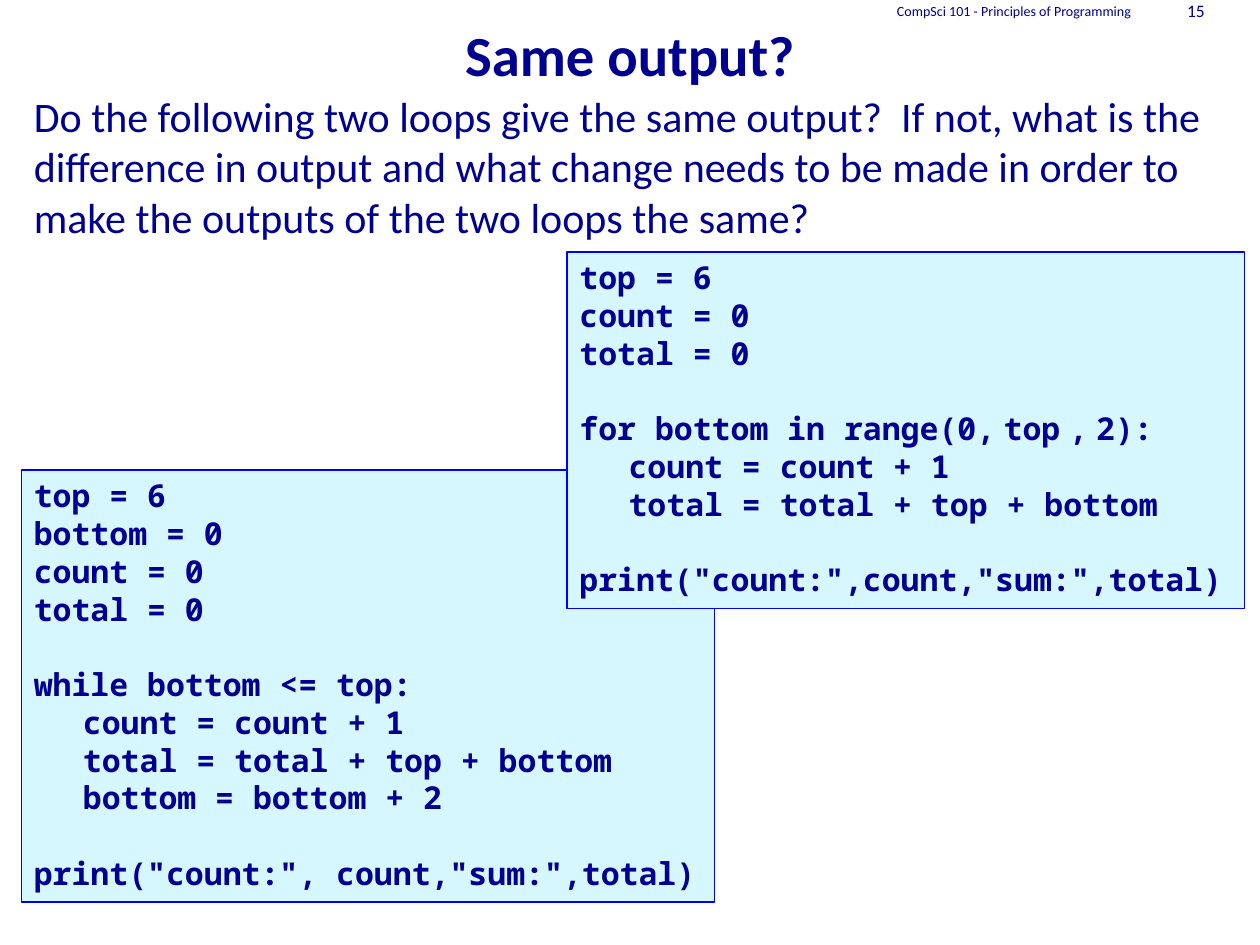
from pptx import Presentation
from pptx.dml.color import RGBColor
from pptx.enum.shapes import MSO_SHAPE
from pptx.enum.text import MSO_ANCHOR, MSO_AUTO_SIZE, PP_ALIGN
from pptx.util import Inches, Pt

NAVY, BLUE, PALE_BLUE = "000090", "0000FF", "D7F7FF"
CODE_SIZE = 18
CODE_LINE = 21.5
CODE_INDENT = Inches(0.39)


def color(hex_string):
    return RGBColor.from_string(hex_string)


def add_text(paragraph, text, size=CODE_SIZE, font="Calibri", bold=False,
             align=PP_ALIGN.LEFT):
    paragraph.alignment = align
    run = paragraph.add_run()
    run.text = text
    run.font.size, run.font.name, run.font.bold = Pt(size), font, bold
    run.font.color.rgb = color(NAVY)


presentation = Presentation()
presentation.slide_width, presentation.slide_height = Inches(10), Inches(7.5)
slide = presentation.slides.add_slide(presentation.slide_layouts[5])

# Title
title = slide.shapes.title
title.left, title.top = 0, Inches(0.17)
title.width, title.height = presentation.slide_width, Inches(0.58)
title.text_frame.auto_size = MSO_AUTO_SIZE.NONE
title.text_frame.vertical_anchor = MSO_ANCHOR.BOTTOM
add_text(title.text_frame.paragraphs[0], "Same output?", size=32.4, bold=True,
         align=PP_ALIGN.CENTER)

# Question, page number and course name
question = ("Do the following two loops give the same output?  If not, what is the "
            "difference in output and what change needs to be made in order to "
            "make the outputs of the two loops the same?")
course = "CompSci 101 - Principles of Programming"
for text, box, size, align, anchor in [
    (question, (0.17, 0.67, 9.58, 5.13), 24, PP_ALIGN.LEFT, MSO_ANCHOR.TOP),
    ("15", (9.08, 0, 0.58, 0.17), 10, PP_ALIGN.RIGHT, MSO_ANCHOR.MIDDLE),
    (course, (6.08, 0, 3, 0.17), 8, PP_ALIGN.RIGHT, MSO_ANCHOR.MIDDLE),
]:
    frame = slide.shapes.add_textbox(*map(Inches, box)).text_frame
    frame.word_wrap = True
    frame.vertical_anchor = anchor
    add_text(frame.paragraphs[0], text, size=size, align=align)

# Code panels: a tab indents a line, an empty line becomes spacing,
# and a bar marks where a narrow space goes
while_loop = """top = 6
bottom = 0
count = 0
total = 0

while bottom <= top:
\tcount = count + 1
\ttotal = total + top + bottom
\tbottom = bottom + 2

print("count:", count,"sum:",total)"""
for_loop = """top = 6
count = 0
total = 0

for bottom in range(0,|top|,|2):
\tcount = count + 1
\ttotal = total + top + bottom

print("count:",count,"sum:",total)"""
for code, box in [(while_loop, (0.17, 3.73, 5.5, 3.43)),
                  (for_loop, (4.5, 2, 5.38, 2.83))]:
    panel = slide.shapes.add_shape(MSO_SHAPE.RECTANGLE, *map(Inches, box))
    panel.shadow.inherit = False
    panel.fill.solid()
    panel.fill.fore_color.rgb = color(PALE_BLUE)
    panel.line.color.rgb = color(BLUE)
    panel.line.width = Pt(0.75)
    frame = panel.text_frame
    frame.word_wrap = True
    frame.vertical_anchor = MSO_ANCHOR.TOP
    for block_number, block in enumerate(code.split("\n\n")):
        for line_number, line in enumerate(block.split("\n")):
            first = block_number == line_number == 0
            paragraph = frame.paragraphs[0] if first else frame.add_paragraph()
            if block_number and line_number == 0:
                paragraph.space_before = Pt(CODE_LINE)
            if line.startswith("\t"):
                paragraph._p.get_or_add_pPr().set("marL", str(CODE_INDENT))
            for part_number, part in enumerate(line.strip().split("|")):
                if part_number:
                    add_text(paragraph, " ", size=8, font="Noto Sans Mono", bold=True)
                add_text(paragraph, part, font="Noto Sans Mono", bold=True)

presentation.save("out.pptx")
